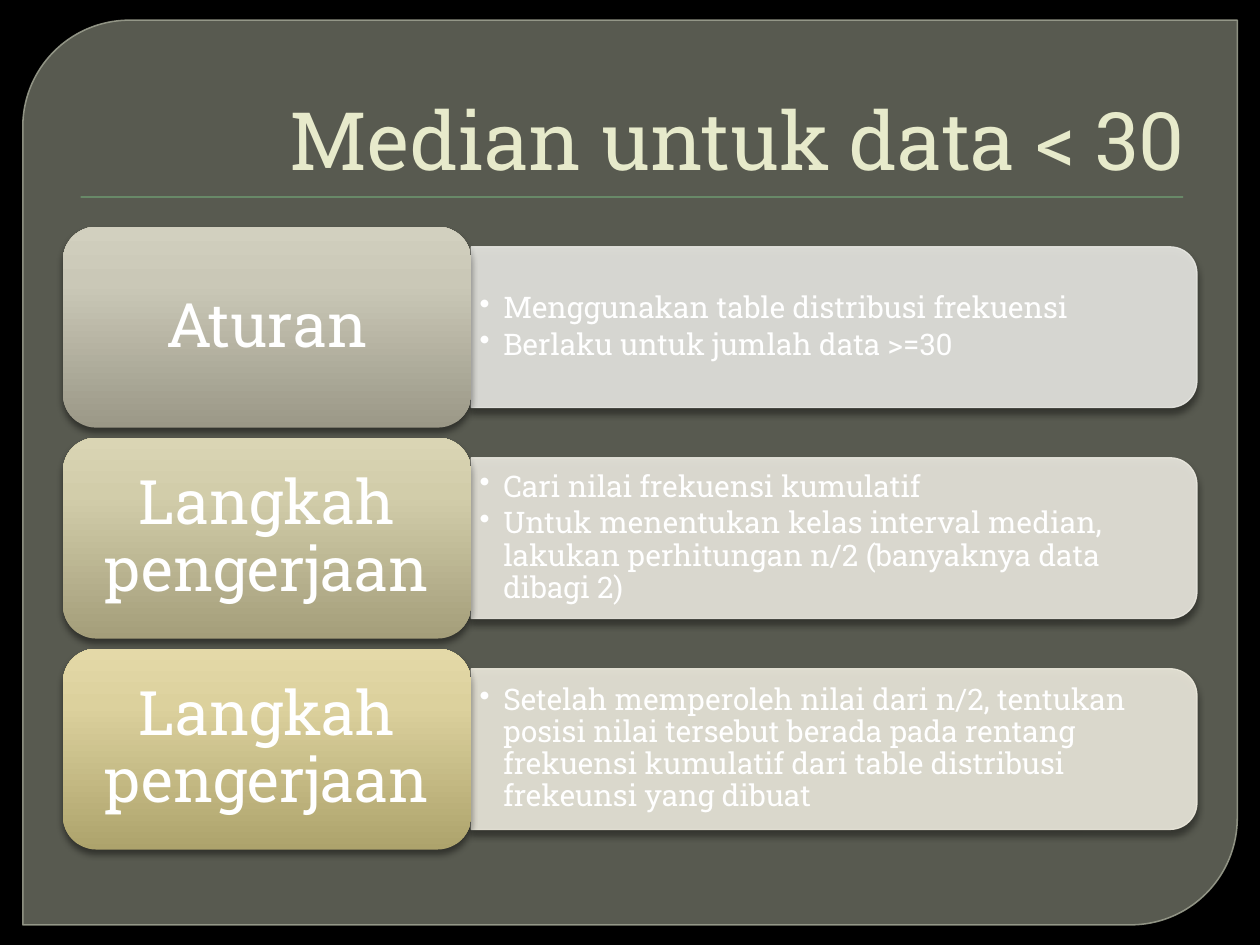
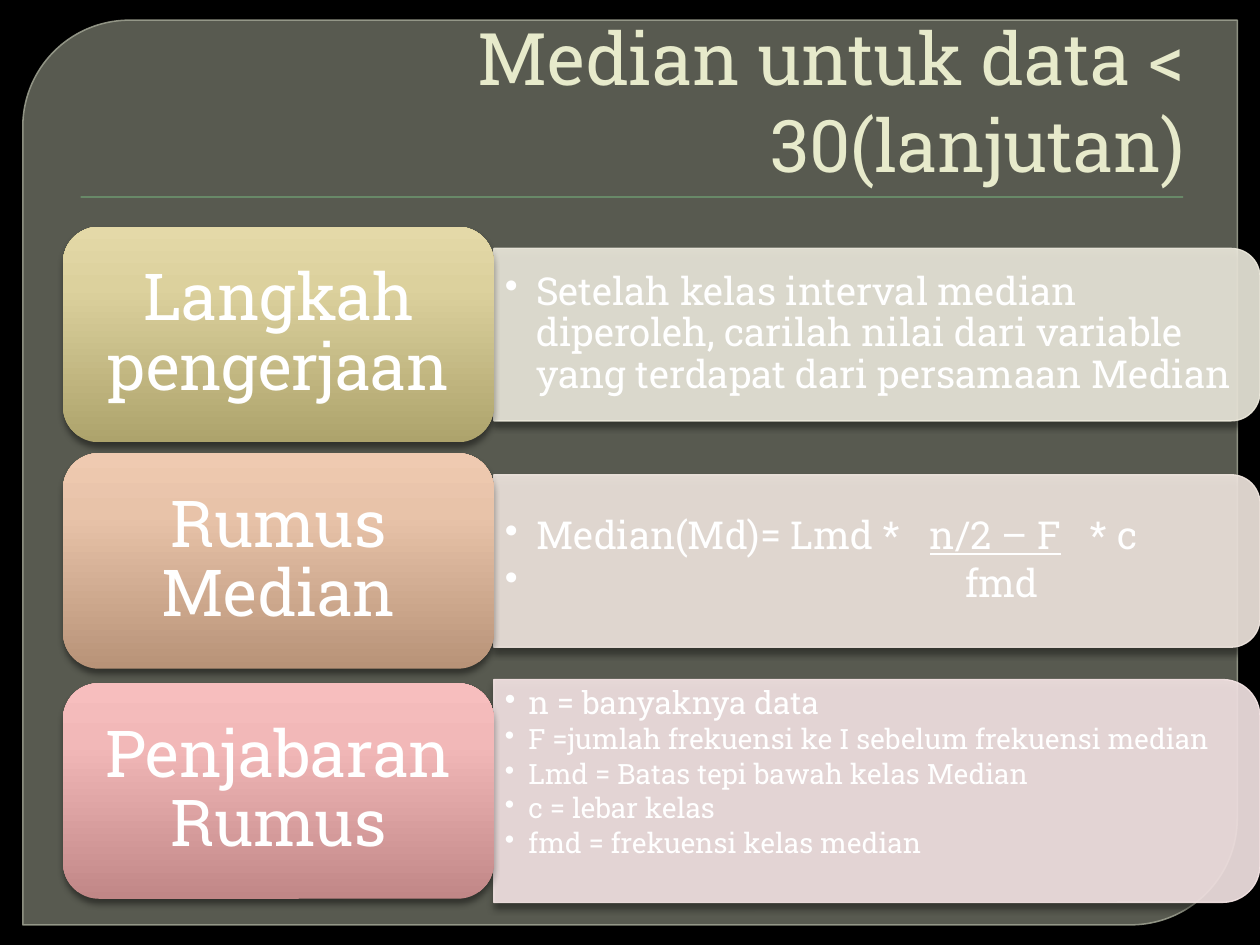
import copy
import pptx
import pptx.dml.color
import pptx.enum.shapes
import pptx.enum.text
import pptx.oxml.ns
import pptx.util
from lxml import etree

Pt = pptx.util.Pt
qn = pptx.oxml.ns.qn
RGB = pptx.dml.color.RGBColor.from_string
SHAPE = pptx.enum.shapes.MSO_SHAPE
ALIGN = pptx.enum.text.PP_ALIGN
ANCHOR = pptx.enum.text.MSO_ANCHOR

FONT = "Roboto Slab"
COLORS = {
    "background": "000000", "frame": "888B7B", "frame_line": "9DA090",
    "rule": "72A376", "title": "E7EACB", "text": "FFFFFF", "shadow": "000000",
}
THEMES = {
    "gray": ("E8E8E3", ("9B9887", "CAC8B7", "D2D0BF")),
    "olive": ("EBE9E0", ("A49E7A", "D2CDAA", "DAD5B4")),
    "gold": ("EDEADD", ("ADA36C", "DCD19D", "E4D9A8")),
    "orange": ("F2E8E1", ("B89378", "E8C3A9", "EFCAB1")),
    "pink": ("F6E6E6", ("C18787", "F2B8B8", "F7BEBE")),
}
WIDE_SPACE = {"text": " ", "spacing": 11}

SLIDES = [
    {"title": "Median untuk data < 30", "title_size": 46,
     "label_width": 233.3, "label_height": 114.8, "label_size": 35, "panel_width": 414.7,
     "rows": [
         {"label": "Aturan", "theme": "gray", "size": 17, "indent": 13.5, "inset": 4.8,
          "items": ["Menggunakan table distribusi frekuensi",
                    "Berlaku untuk jumlah data >=30"]},
         {"label": "Langkah pengerjaan", "theme": "olive", "size": 17, "indent": 13.5, "inset": 4.8,
          "items": ["Cari nilai frekuensi kumulatif",
                    "Untuk menentukan kelas interval median, lakukan perhitungan n/2 "
                    "(banyaknya data dibagi 2)"]},
         {"label": "Langkah pengerjaan", "theme": "gold", "size": 17, "indent": 13.5, "inset": 4.8,
          "items": ["Setelah memperoleh nilai dari n/2, tentukan posisi nilai tersebut berada "
                    "pada rentang frekuensi kumulatif dari table distribusi frekeunsi yang dibuat"]},
     ]},
    {"title": "Median untuk data < 30(lanjutan)", "title_size": 41.4,
     "label_width": 246.2, "label_height": 123.2, "label_size": 37, "panel_width": 437.8,
     "rows": [
         {"label": "Langkah pengerjaan", "theme": "gold", "size": 22, "indent": 18, "inset": 6.3,
          "items": ["Setelah kelas interval median diperoleh, carilah nilai dari variable "
                    "yang terdapat dari persamaan Median"]},
         {"label": "Rumus Median", "theme": "orange", "size": 22, "indent": 18, "inset": 6.3,
          "items": [["Median(Md)= Lmd *", WIDE_SPACE, {"text": "n/2 – F", "underline": True},
                     WIDE_SPACE, "* c"],
                    "fmd"],
          "indents": {1: 263}},
         {"label": "Penjabaran Rumus", "theme": "pink", "size": 16, "indent": 13.5, "inset": 6.3,
          "panel_height": 127.4, "bottom_space": 20,
          "items": [[{"text": "n = banyaknya data", "size": 18}],
                    "F =jumlah frekuensi ke I sebelum frekuensi median",
                    "Lmd = Batas tepi bawah kelas Median",
                    "c = lebar kelas",
                    "fmd = frekuensi kelas median"]},
     ]},
]


def add_shape(page, kind, left, top, width, height, fill=None, alpha=100, line=None,
              line_width=0.75, line_alpha=90, shadow=None):
    shape = page.shapes.add_shape(kind, Pt(left), Pt(top), Pt(width), Pt(height))
    shape.shadow.inherit = False
    if isinstance(fill, tuple):
        shape.fill.gradient()
        shape.fill.gradient_angle = 90
        stops = shape._element.spPr.find(".//" + qn("a:gsLst"))
        stops.append(copy.deepcopy(stops[-1]))
        for stop, color, position in zip(shape.fill.gradient_stops, fill, (0, 0.72, 1)):
            stop.color.rgb = RGB(color)
            stop.position = position
    else:
        shape.fill.solid()
        shape.fill.fore_color.rgb = RGB(fill)
    if line:
        shape.line.color.rgb = RGB(line)
        shape.line.width = Pt(line_width)
    else:
        shape.line.fill.background()
    properties = shape._element.spPr
    for holder, opacity in (("a:solidFill", alpha), ("a:ln/a:solidFill", line_alpha)):
        color = properties.find("/".join(qn(tag) for tag in holder.split("/")) + "/" + qn("a:srgbClr"))
        if color is not None and opacity < 100:
            etree.SubElement(color, qn("a:alpha"), val=str(opacity * 1000))
    if shadow:
        opacity, blur, distance = shadow
        outer = etree.SubElement(properties.find(qn("a:effectLst")), qn("a:outerShdw"),
                                 blurRad=str(Pt(blur)), dist=str(Pt(distance)), dir="5400000",
                                 algn="ctr", rotWithShape="0")
        color = etree.SubElement(outer, qn("a:srgbClr"), val=COLORS["shadow"])
        etree.SubElement(color, qn("a:alpha"), val=str(opacity * 1000))
    return shape


def write_text(shape, items, size, color=COLORS["text"], align=ALIGN.LEFT, anchor=ANCHOR.MIDDLE,
               insets=(7.2, 3.6, 7.2, 3.6), line_spacing=0.9, indent=0, indents=None):
    frame = shape.text_frame
    frame.word_wrap = True
    frame.vertical_anchor = anchor
    frame.margin_left, frame.margin_top, frame.margin_right, frame.margin_bottom = map(Pt, insets)
    for number, item in enumerate(items):
        para = frame.add_paragraph() if number else frame.paragraphs[0]
        para.alignment = align
        para.line_spacing = line_spacing
        if indent:
            para.space_after = Pt(0.15 * size)
            hanging = Pt((indents or {}).get(number, indent))
            properties = para._p.get_or_add_pPr()
            properties.set("marL", str(hanging))
            properties.set("indent", str(-hanging))
            etree.SubElement(properties, qn("a:buChar"), char="•")
        for part in [item] if isinstance(item, str) else item:
            style = {"text": part} if isinstance(part, str) else part
            span = para.add_run()
            span.text = style["text"]
            span.font.name = FONT
            span.font.size = Pt(style.get("size", size))
            span.font.color.rgb = RGB(color)
            if style.get("underline"):
                span.font.underline = True
            if "spacing" in style:
                span._r.get_or_add_rPr().set("spc", str(style["spacing"] * 100))


deck = pptx.Presentation()
deck.slide_width, deck.slide_height = Pt(720), Pt(540)

for content in SLIDES:
    page = deck.slides.add_slide(deck.slide_layouts[6])
    page.background.fill.solid()
    page.background.fill.fore_color.rgb = RGB(COLORS["background"])
    frame = add_shape(page, SHAPE.ROUND_2_DIAG_RECTANGLE, 13, 11.5, 694, 517, COLORS["frame"],
                      alpha=65, line=COLORS["frame_line"], line_width=0.87, line_alpha=88)
    frame.adjustments[0] = 0.118
    add_shape(page, SHAPE.RECTANGLE, 46.1, 112.2, 630, 0.72, COLORS["rule"], shadow=(75, 1, 1))
    title = page.shapes.add_textbox(Pt(36), Pt(20.2), Pt(648), Pt(90))
    write_text(title, [content["title"]], content["title_size"], color=COLORS["title"],
               align=ALIGN.RIGHT, anchor=ANCHOR.BOTTOM, line_spacing=1.0)

    label_left, top = 36, 129.6
    label_width, label_height = content["label_width"], content["label_height"]
    panel_left, panel_width = label_left + label_width, content["panel_width"]
    for row in content["rows"]:
        panel_color, gradient = THEMES[row["theme"]]
        panel_height = row.get("panel_height", 0.8 * label_height)
        row_height = max(label_height, panel_height)
        middle = top + row_height / 2
        center = panel_left + panel_width / 2
        panel = add_shape(page, SHAPE.ROUND_2_SAME_RECTANGLE, center - panel_height / 2,
                          middle - panel_width / 2, panel_height, panel_width, panel_color,
                          alpha=90, line=panel_color, shadow=(43, 4, 3))
        panel.rotation = 90

        corner = 0.049 * panel_height
        box = page.shapes.add_textbox(Pt(panel_left), Pt(middle - panel_height / 2 + corner),
                                      Pt(panel_width - corner), Pt(panel_height - 2 * corner))
        side = row["inset"]
        write_text(box, row["items"], row["size"], indent=row["indent"], indents=row.get("indents"),
                   insets=(side, side / 2, side, side / 2 + row.get("bottom_space", 0)))

        label = add_shape(page, SHAPE.ROUNDED_RECTANGLE, label_left, middle - label_height / 2,
                          label_width, label_height, gradient, shadow=(43, 4, 3))
        write_text(label, [row["label"]], content["label_size"], align=ALIGN.CENTER,
                   insets=(10.8, 5.4, 10.8, 5.4))
        top += row_height + 0.05 * label_height

deck.save("out.pptx")
